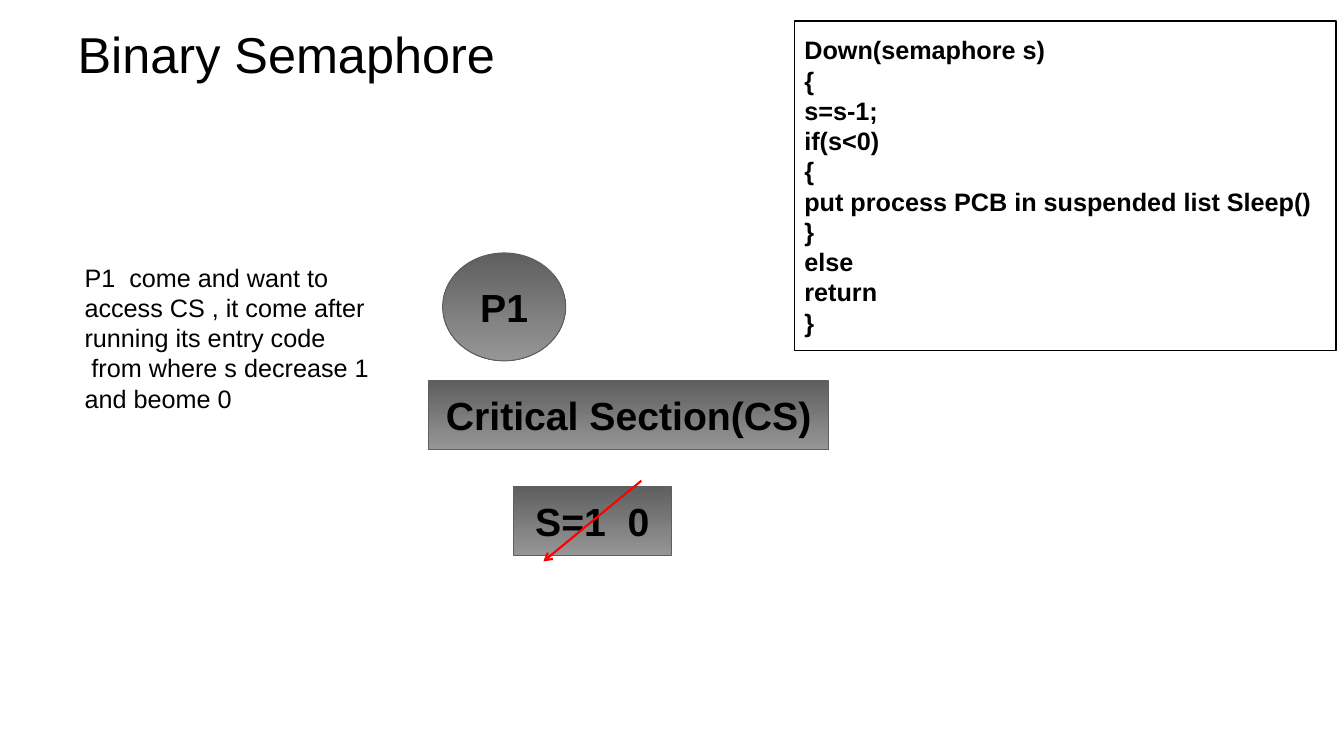
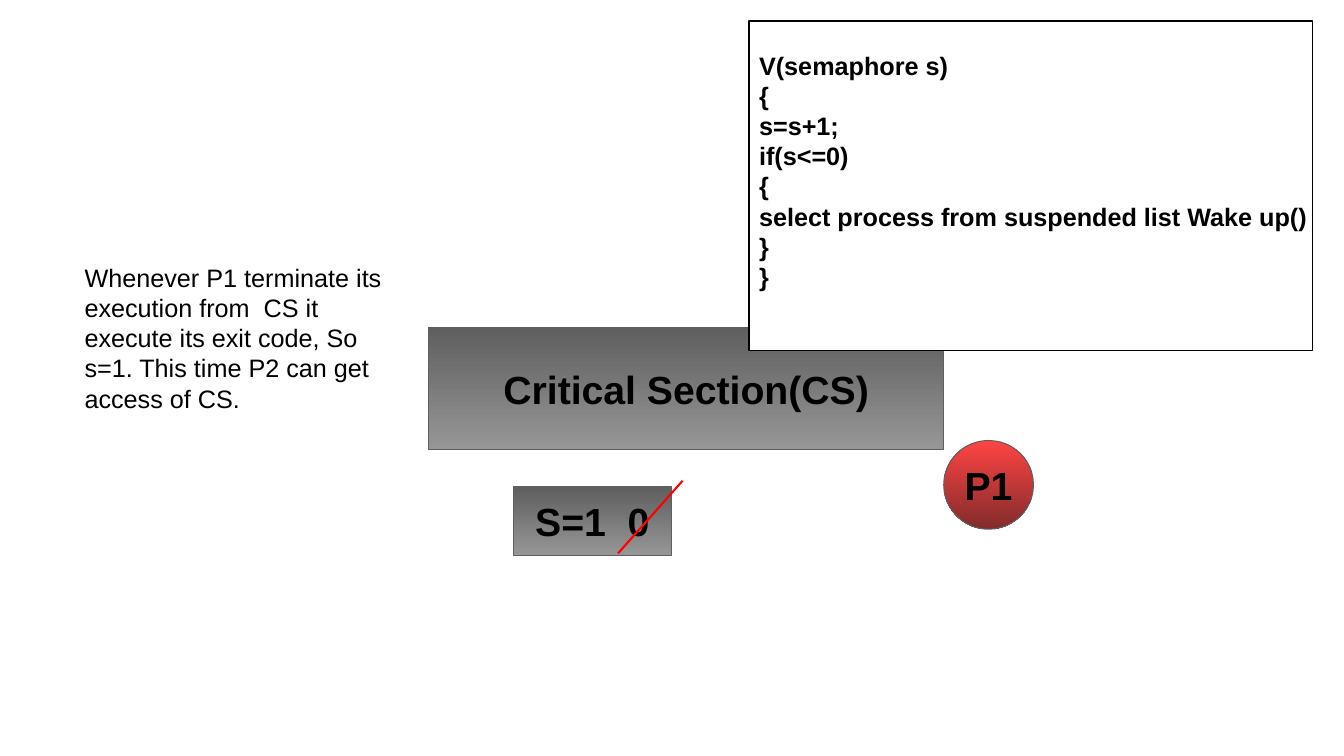
"""Two slides on how a binary semaphore guards a critical section."""
from dataclasses import dataclass

from lxml import etree
from pptx import Presentation
from pptx.dml.color import RGBColor
from pptx.enum import shapes, text
from pptx.oxml import ns
from pptx.util import Inches, Pt


@dataclass(frozen=True)
class Theme:
    """Colours, font and type sizes of the deck."""
    font: str = "Arial"
    ink: str = "000000"
    paper: str = "FFFFFF"
    edge: str = "5F5F5F"
    gray: tuple = ("5F5F5F", "969696")
    red: tuple = ("FE4444", "832B2B")
    strike: str = "FF0000"
    title: int = 36
    label: int = 28
    body: int = 18


class Deck:
    """Holds the theme, the presentation and the current slide."""

    def __init__(self, theme):
        """Start an empty widescreen presentation."""
        self.theme = theme
        self.prs = Presentation()
        self.prs.slide_width, self.prs.slide_height = Inches(13.33), Inches(7.5)

    def slide(self, title=None):
        """Add a slide, title-only if a title is given, otherwise blank."""
        layout = self.prs.slide_layouts[5 if title else 6]
        self.s = self.prs.slides.add_slide(layout)
        if title:
            sp = self.s.shapes.title
            sp.left, sp.top, sp.width, sp.height = map(Inches, (0.67, 0.21, 12, 0.64))
            self.set_text(sp, title, self.theme.title)

    def set_text(self, sp, words, size, bold=False, align=text.PP_ALIGN.LEFT,
                 anchor=text.MSO_ANCHOR.MIDDLE, wrap=True):
        """Set and format the text of a shape."""
        tf = sp.text_frame
        tf.text = words
        tf.word_wrap = wrap
        tf.vertical_anchor = anchor
        for p in tf.paragraphs:
            p.alignment = align
            for r in p.runs:
                r.font.name, r.font.size, r.font.bold = self.theme.font, Pt(size), bold
                r.font.color.rgb = RGBColor.from_string(self.theme.ink)

    def shape(self, kind, at, edge, weight):
        """Add an outlined preset shape without a shadow."""
        sp = self.s.shapes.add_shape(kind, *map(Inches, at))
        sp.shadow.inherit = False
        sp.line.color.rgb = RGBColor.from_string(edge)
        sp.line.width = Pt(weight)
        return sp

    def block(self, words, at, kind=shapes.MSO_SHAPE.RECTANGLE, shades=None):
        """Add a labelled shape shaded from top to bottom."""
        sp = self.shape(kind, at, self.theme.edge, 0.75)
        sp.fill.gradient()
        sp.fill.gradient_angle = 270
        for stop, shade in zip(sp.fill.gradient_stops, shades or self.theme.gray):
            stop.color.rgb = RGBColor.from_string(shade)
        self.set_text(sp, words, self.theme.label, True, text.PP_ALIGN.CENTER, wrap=False)

    def process(self, words, at, shades=None):
        """Add a process as a shaded ellipse."""
        self.block(words, at, shapes.MSO_SHAPE.OVAL, shades)

    def counter(self):
        """Add the box with the semaphore values."""
        self.block("S=1  0", (5.09, 4.83, 1.57, 0.68))

    def note(self, words):
        """Add the explanation at the left."""
        sp = self.s.shapes.add_textbox(*map(Inches, (0.74, 2.55, 3.34, 1.61)))
        self.set_text(sp, words, self.theme.body, anchor=text.MSO_ANCHOR.TOP)

    def code(self, lines, left, width, bottom=0.05):
        """Add the framed listing at the upper right."""
        sp = self.shape(shapes.MSO_SHAPE.RECTANGLE, (left, 0.21, width, 3.27),
                        self.theme.ink, 1)
        sp.fill.solid()
        sp.fill.fore_color.rgb = RGBColor.from_string(self.theme.paper)
        self.set_text(sp, "\n".join(lines), self.theme.body, bold=True)
        sp.text_frame.margin_right = 0
        sp.text_frame.margin_bottom = Inches(bottom)

    def strike(self, start, end, arrow=False):
        """Cross out an old value, optionally with an arrowhead."""
        line = self.s.shapes.add_connector(
            shapes.MSO_CONNECTOR.STRAIGHT, *map(Inches, start + end))
        line.line.color.rgb = RGBColor.from_string(self.theme.strike)
        line.line.width = Pt(1.5)
        props = line.element.spPr
        if arrow:
            etree.SubElement(props.find(ns.qn("a:ln")), ns.qn("a:tailEnd"), type="arrow")
        etree.SubElement(props, ns.qn("a:effectLst"))


def entry_slide(deck):
    """Show P1 entering the critical section."""
    deck.slide("Binary Semaphore ")
    deck.block("Critical Section(CS)", (4.25, 3.78, 3.97, 0.68))
    deck.process("P1", (4.39, 2.51, 1.22, 1.07))
    deck.counter()
    deck.note("P1  come and want to access CS , it come after running its entry code\n"
              " from where s decrease 1 and beome 0 ")
    deck.code(["Down(semaphore s)", "{", "s=s-1;", "if(s<0)", "{",
               "put process PCB in suspended list Sleep()", "}", "else", "return", "}"],
              7.88, 5.37)
    deck.strike((6.36, 4.77), (5.39, 5.57), arrow=True)


def exit_slide(deck):
    """Show P1 leaving the critical section."""
    deck.slide()
    deck.block("Critical Section(CS)", (4.25, 3.25, 5.11, 1.21))
    deck.process("P1", (9.36, 4.37, 0.89, 0.88), deck.theme.red)
    deck.counter()
    deck.note("Whenever P1 terminate its execution from  CS it execute its exit code, "
              "So s=1. This time P2 can get access of CS. ")
    deck.code(["V(semaphore s)", "{", "s=s+1;", "if(s<=0)", "{",
               "select process from suspended list Wake up()", "}", "}"],
              7.43, 5.59, bottom=0.35)
    deck.strike((6.77, 4.77), (6.13, 5.49))


deck = Deck(Theme())
entry_slide(deck)
exit_slide(deck)
deck.prs.save("out.pptx")
